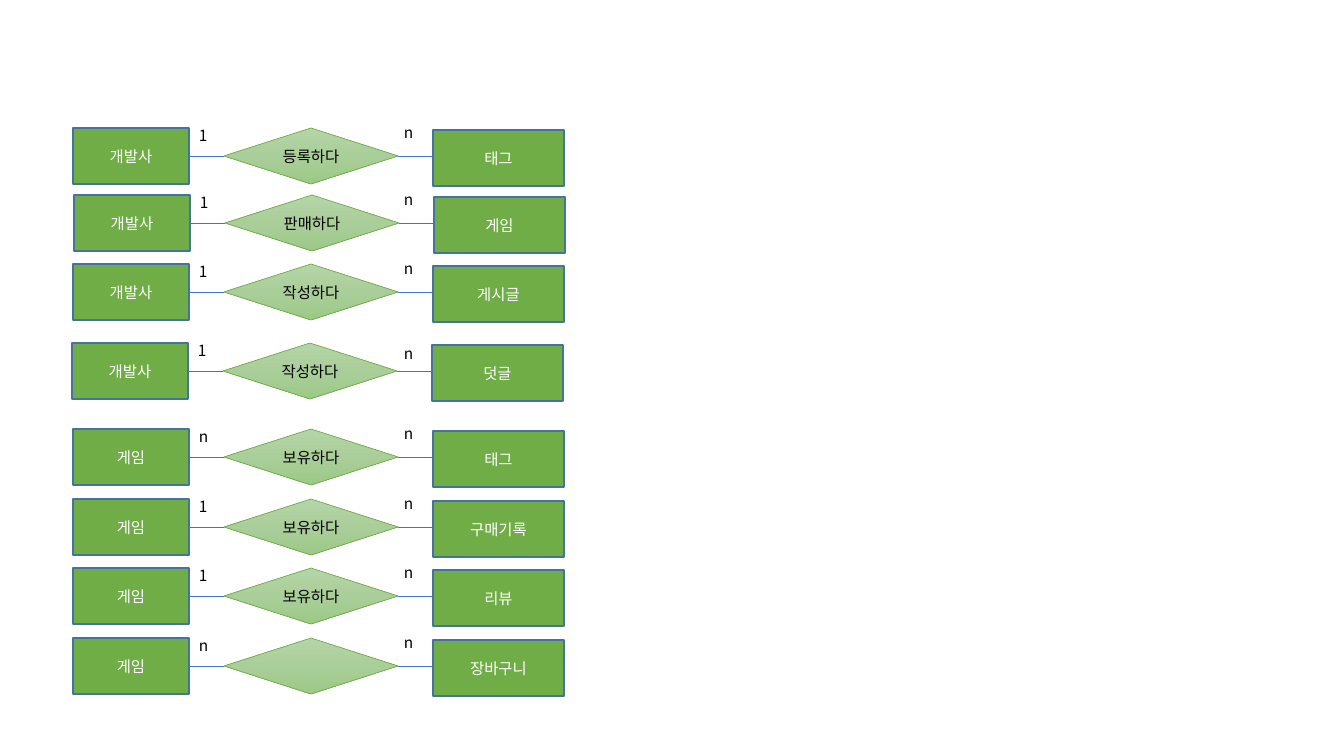
from copy import deepcopy
from dataclasses import dataclass

from lxml.etree import SubElement
from pptx import Presentation
from pptx.dml.color import RGBColor
from pptx.enum.shapes import MSO_CONNECTOR, MSO_SHAPE
from pptx.enum.text import MSO_ANCHOR, MSO_AUTO_SIZE, PP_ALIGN
from pptx.oxml.ns import qn
from pptx.util import Emu, Pt

SCALE = 12192000 / 1344
FONT = "Noto Sans CJK KR"
GREEN = RGBColor(0x70, 0xAD, 0x47)
OUTLINE = RGBColor(0x43, 0x73, 0x9E)
BLUE = RGBColor(0x44, 0x72, 0xC4)
BLACK = RGBColor(0, 0, 0)
WHITE = RGBColor(0xFF, 0xFF, 0xFF)
DIAMOND_GRADIENT = (
    (0, RGBColor(0xB5, 0xD5, 0xA7)),
    (0.5, RGBColor(0xAA, 0xCE, 0x9A)),
    (1, RGBColor(0x9C, 0xC9, 0x87)),
)

SUBJECT_LEFT, SUBJECT_WIDTH = 73, 116
DIAMOND_LEFT, DIAMOND_WIDTH = 224, 174
TARGET_LEFT, TARGET_WIDTH, TARGET_DROP = 433, 131, 2
NODE_HEIGHT = 57
LABEL_WIDTH, LABEL_HEIGHT = 35, 29
SUBJECT_LABEL_LEFT, TARGET_LABEL_LEFT = 189, 394
SUBJECT_LABEL_RISE = 7


@dataclass(frozen=True)
class Relation:
    """One row: two entities, their relationship and cardinalities."""
    top: int
    subject: str
    subject_count: str
    verb: str
    target: str
    target_count: str = "n"
    shift: int = 0
    target_label_rise: int = 10


RELATIONS = (
    Relation(128, "개발사", "1", "등록하다", "태그"),
    Relation(195, "개발사", "1", "판매하다", "게임", shift=1),
    Relation(264, "개발사", "1", "작성하다", "게시글"),
    Relation(343, "개발사", "1", "작성하다", "덧글", shift=-1, target_label_rise=4),
    Relation(429, "게임", "n", "보유하다", "태그"),
    Relation(499, "게임", "1", "보유하다", "구매기록"),
    Relation(568, "게임", "1", "보유하다", "리뷰"),
    Relation(638, "게임", "n", "", "장바구니"),
)


def pixels(*lengths: int) -> list[Emu]:
    """Convert pixel lengths to EMU."""
    return [Emu(round(length * SCALE)) for length in lengths]


def write_text(shape, text: str, *, color: RGBColor = BLACK,
               align: PP_ALIGN = PP_ALIGN.CENTER,
               anchor: MSO_ANCHOR = MSO_ANCHOR.MIDDLE) -> None:
    """Write one formatted paragraph into a shape."""
    frame = shape.text_frame
    frame.word_wrap = True
    frame.vertical_anchor = anchor
    paragraph = frame.paragraphs[0]
    paragraph.alignment = align
    if not text:
        return
    run = paragraph.add_run()
    run.text = text
    run.font.name = FONT
    run.font.size = Pt(11)
    run.font.color.rgb = color
    SubElement(run.font._element, qn("a:ea"), typeface=FONT)


def add_node(slide, kind: MSO_SHAPE, left: int, top: int, width: int, *,
             line: RGBColor, line_width: float):
    """Add an outlined shape of the common node height."""
    shape = slide.shapes.add_shape(kind, *pixels(left, top, width, NODE_HEIGHT - 1))
    shape.shadow.inherit = False
    shape.line.color.rgb = line
    shape.line.width = Pt(line_width)
    return shape


def add_entity(slide, text: str, left: int, top: int, width: int) -> None:
    """Add a green entity box."""
    shape = add_node(slide, MSO_SHAPE.RECTANGLE, left, top, width,
                     line=OUTLINE, line_width=1)
    shape.fill.solid()
    shape.fill.fore_color.rgb = GREEN
    write_text(shape, text, color=WHITE)


def add_diamond(slide, text: str, left: int, top: int) -> None:
    """Add a relationship diamond with a vertical gradient."""
    shape = add_node(slide, MSO_SHAPE.DIAMOND, left, top, DIAMOND_WIDTH,
                     line=GREEN, line_width=0.5)
    shape.fill.gradient()
    shape.fill.gradient_angle = 270
    stop_list = shape._element.spPr.find(qn("a:gradFill")).find(qn("a:gsLst"))
    stop_list.insert(1, deepcopy(stop_list[0]))
    for stop, (position, color) in zip(shape.fill.gradient_stops, DIAMOND_GRADIENT):
        stop.position = position
        stop.color.rgb = color
    write_text(shape, text)


def add_link(slide, start: int, end: int, height: int) -> None:
    """Add a thin horizontal line between two nodes."""
    connector = slide.shapes.add_connector(
        MSO_CONNECTOR.STRAIGHT, *pixels(start, height, end, height))
    connector.line.color.rgb = BLUE
    connector.line.width = Pt(0.5)
    SubElement(connector._element.spPr, qn("a:effectLst"))


def add_count(slide, text: str, left: int, top: int) -> None:
    """Add a cardinality label."""
    box = slide.shapes.add_textbox(*pixels(left, top, LABEL_WIDTH, LABEL_HEIGHT))
    write_text(box, text, align=PP_ALIGN.LEFT, anchor=MSO_ANCHOR.TOP)
    box.text_frame.auto_size = MSO_AUTO_SIZE.SHAPE_TO_FIT_TEXT


def add_relation(slide, relation: Relation) -> None:
    """Draw one complete relationship row."""
    top, shift = relation.top, relation.shift
    subject_left = SUBJECT_LEFT + shift
    diamond_left = DIAMOND_LEFT + shift
    target_left = TARGET_LEFT + shift
    middle = top + NODE_HEIGHT // 2
    add_diamond(slide, relation.verb, diamond_left, top)
    add_entity(slide, relation.target, target_left, top + TARGET_DROP, TARGET_WIDTH)
    add_entity(slide, relation.subject, subject_left, top, SUBJECT_WIDTH)
    add_link(slide, subject_left + SUBJECT_WIDTH, diamond_left, middle)
    add_link(slide, diamond_left + DIAMOND_WIDTH, target_left, middle)
    add_count(slide, relation.subject_count, SUBJECT_LABEL_LEFT + shift,
              top - SUBJECT_LABEL_RISE)
    add_count(slide, relation.target_count, TARGET_LABEL_LEFT,
              top - relation.target_label_rise)


def main() -> None:
    """Build and save the slide."""
    presentation = Presentation()
    presentation.slide_width, presentation.slide_height = pixels(1344, 756)
    slide = presentation.slides.add_slide(presentation.slide_layouts[6])
    for relation in RELATIONS:
        add_relation(slide, relation)
    presentation.save("out.pptx")


main()
